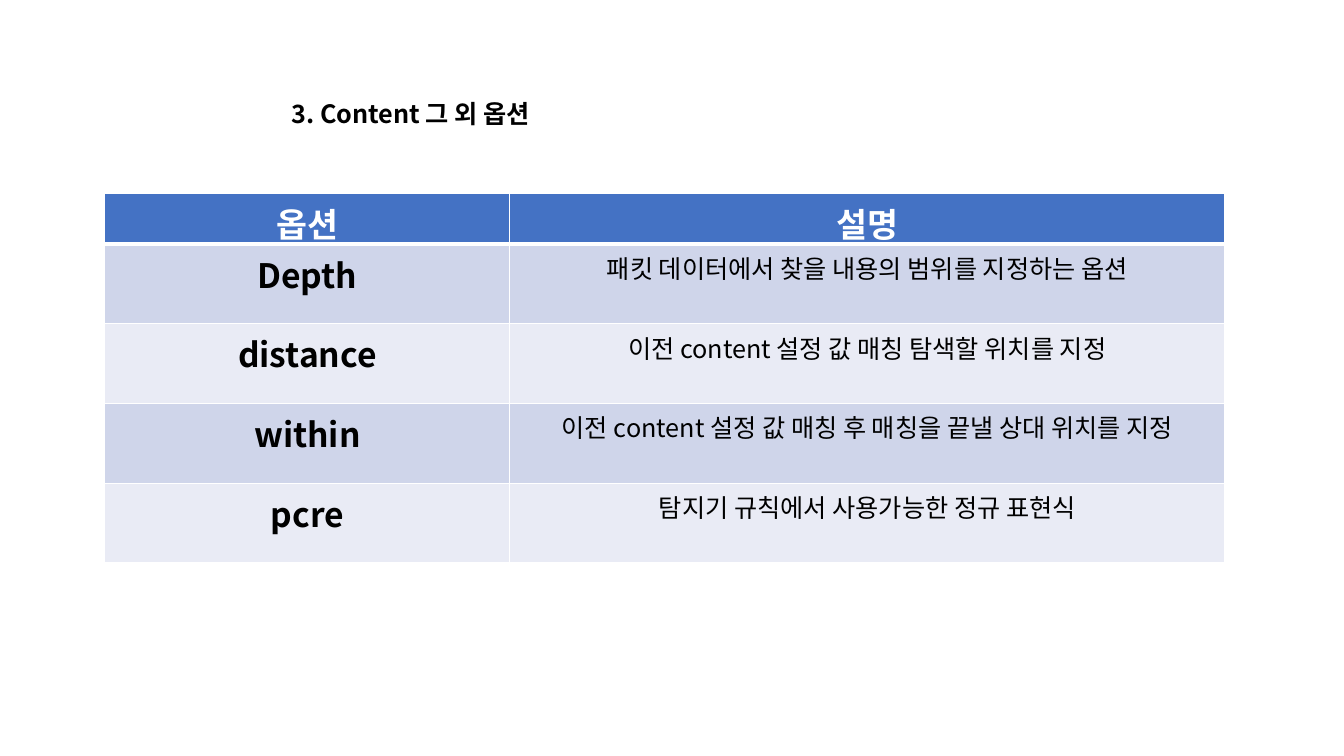
from typing import NamedTuple

from lxml.etree import Element, SubElement
from pptx import Presentation
from pptx.dml.color import RGBColor
from pptx.enum.text import MSO_ANCHOR, MSO_AUTO_SIZE, PP_ALIGN
from pptx.oxml.ns import qn
from pptx.util import Cm, Pt

FONT = "Noto Sans CJK KR"
BLACK, WHITE = "000000", "FFFFFF"
HEADER_FILL = "4472C4"
BAND_FILLS = ("CFD5EA", "E9EBF5")
COLUMN_WIDTHS = (10.21, 18.01)
HEADER_HEIGHT, ROW_HEIGHT = 0.38, 2.01


class OptionRow(NamedTuple):
    option: str
    description: str


HEADER = OptionRow("옵션", "설명")
OPTIONS = (
    OptionRow("Depth", "패킷 데이터에서 찾을 내용의 범위를 지정하는 옵션"),
    OptionRow("distance", "이전 content 설정 값 매칭 탐색할 위치를 지정"),
    OptionRow("within", "이전 content 설정 값 매칭 후 매칭을 끝낼 상대 위치를 지정"),
    OptionRow("pcre", "탐지기 규칙에서 사용가능한 정규 표현식"),
)


def rgb(color: str) -> RGBColor:
    return RGBColor.from_string(color)


def write(tf, text: str, size: int, color: str, bold: bool, align) -> None:
    p = tf.paragraphs[0]
    p.text = text
    p.alignment = align
    p.font.size = Pt(size)
    p.font.bold = bold
    p.font.color.rgb = rgb(color)
    p.font.name = FONT
    # East Asian typeface for the Korean text
    for props in p._p.iter(qn("a:defRPr")):
        SubElement(props, qn("a:ea"), typeface=FONT)


def add_title(s, text: str) -> None:
    sp = s.shapes.title
    sp.left, sp.top, sp.width, sp.height = Cm(7.09), Cm(2.36), Cm(6.96), Cm(1.02)
    tf = sp.text_frame
    tf.word_wrap = False
    tf.auto_size = MSO_AUTO_SIZE.SHAPE_TO_FIT_TEXT
    tf.vertical_anchor = MSO_ANCHOR.TOP
    write(tf, text, 18, BLACK, True, PP_ALIGN.LEFT)


def set_bottom_border(cell, width: int, color: str) -> None:
    line = Element(qn("a:lnB"), w=str(Pt(width)))
    SubElement(SubElement(line, qn("a:solidFill")), qn("a:srgbClr"), val=color)
    cell._tc.get_or_add_tcPr().insert(0, line)


def fill_row(table, index: int, row: OptionRow) -> None:
    is_header = index == 0
    fill = HEADER_FILL if is_header else BAND_FILLS[(index - 1) % 2]
    table.rows[index].height = Cm(HEADER_HEIGHT if is_header else ROW_HEIGHT)
    for column, text in enumerate(row):
        cell = table.cell(index, column)
        cell.fill.solid()
        cell.fill.fore_color.rgb = rgb(fill)
        if is_header:
            set_bottom_border(cell, 3, WHITE)
        strong = is_header or column == 0
        write(cell.text_frame, text, 24 if strong else 18,
              WHITE if is_header else BLACK, strong, PP_ALIGN.CENTER)


def add_option_table(s) -> None:
    rows = (HEADER, *OPTIONS)
    height = Cm(9.3)
    frame = s.shapes.add_table(len(rows), len(COLUMN_WIDTHS), Cm(2.64), Cm(4.88),
                               Cm(sum(COLUMN_WIDTHS)), height)
    table = frame.table
    for column, width in zip(table.columns, COLUMN_WIDTHS):
        column.width = Cm(width)
    for index, row in enumerate(rows):
        fill_row(table, index, row)
    # The header grows to fill the rest of the frame
    frame.height = height


def main() -> None:
    prs = Presentation()
    prs.slide_width, prs.slide_height = Cm(33.87), Cm(19.05)
    s = prs.slides.add_slide(prs.slide_layouts[5])
    add_title(s, "3. Content 그 외 옵션")
    add_option_table(s)
    prs.save("out.pptx")


if __name__ == "__main__":
    main()
